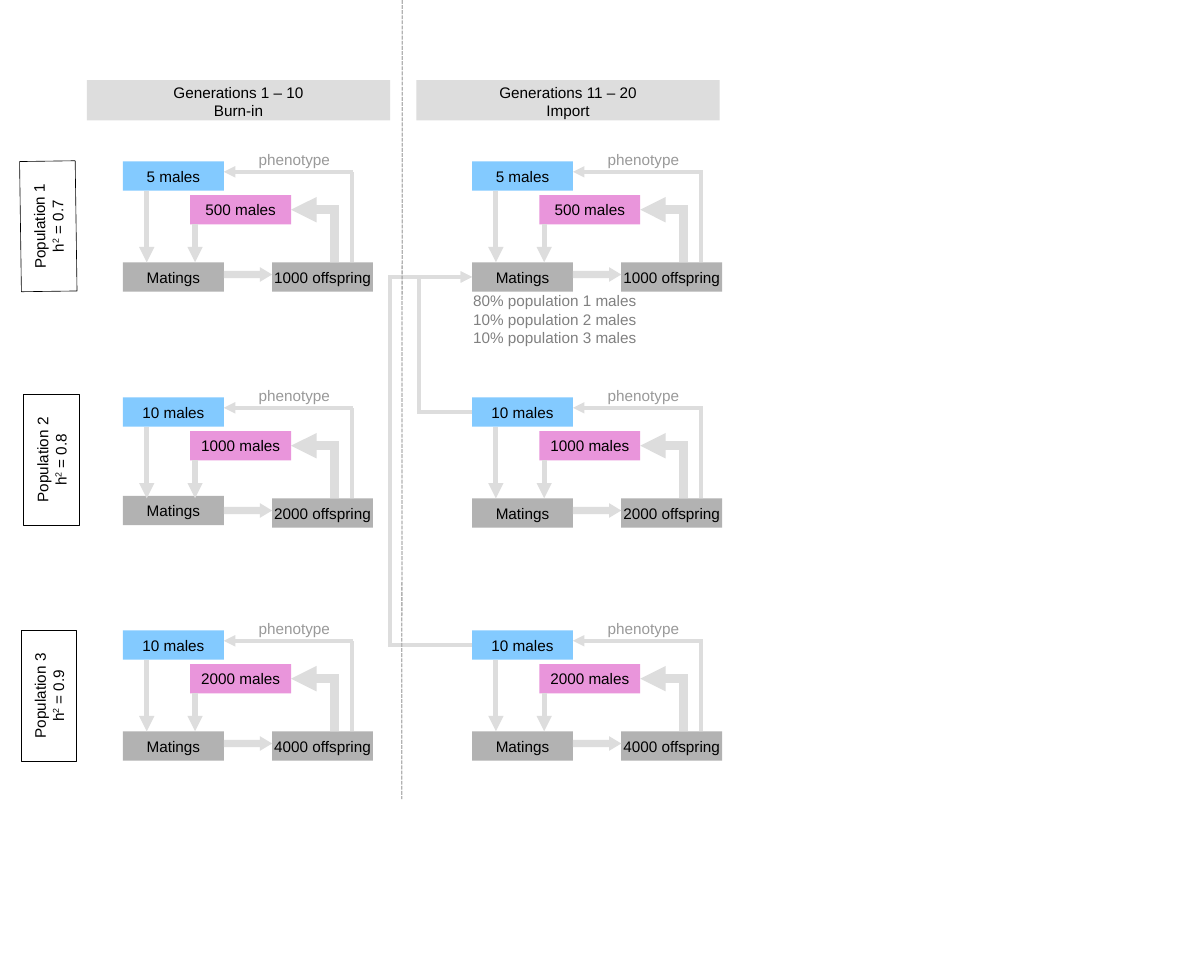
from dataclasses import dataclass

from lxml.etree import SubElement
from pptx import Presentation
from pptx.dml.color import RGBColor
from pptx.enum.dml import MSO_LINE
from pptx.enum.shapes import MSO_CONNECTOR, MSO_SHAPE
from pptx.enum.text import MSO_ANCHOR, PP_ALIGN
from pptx.oxml.ns import qn
from pptx.util import Pt

PX = 9144  # 100 px to the inch
BOX_WIDTH, BOX_HEIGHT = 165, 48
TOP, LEFT, BOTTOM, RIGHT = range(4)


@dataclass(frozen=True)
class Theme:
    font: str = "Arial"
    size: int = 18
    text: str = "000000"
    phenotype: str = "999999"
    note: str = "808080"
    label: str = "FFFFFF"
    selected: str = "83CAFF"
    dams: str = "E995DB"
    stage: str = "B2B2B2"
    flow: str = "DDDDDD"
    thin: float = 4.5
    medium: float = 6
    thick: float = 10
    divider: float = 1.5


THEME = Theme()


def emu(*lengths):
    return [round(length * PX) for length in lengths]


def color(value):
    return RGBColor.from_string(value)


def write(frame, runs, text_color=THEME.text, align=PP_ALIGN.CENTER):
    """Write (text, is_superscript) runs into one paragraph."""
    paragraph = frame.paragraphs[0]
    paragraph.alignment = align
    for text, superscript in runs:
        for index, line in enumerate(text.split("\n")):
            if index:
                paragraph.add_line_break()
            run = paragraph.add_run()
            run.text = line
            run.font.name = THEME.font
            run.font.size = Pt(THEME.size)
            run.font.color.rgb = color(text_color)
            if superscript:
                run.font._element.set("baseline", "33000")


def add_block(slide, box, fill, runs=(), kind=MSO_SHAPE.RECTANGLE):
    shape = slide.shapes.add_shape(kind, *emu(*box))
    shape.shadow.inherit = False
    shape.fill.solid()
    shape.fill.fore_color.rgb = color(fill)
    shape.line.fill.background()
    shape.text_frame.word_wrap = False
    shape.text_frame.vertical_anchor = MSO_ANCHOR.MIDDLE
    write(shape.text_frame, runs)
    return shape


def add_caption(slide, box, text, text_color):
    frame = slide.shapes.add_textbox(*emu(*box)).text_frame
    frame.word_wrap = True
    write(frame, [(text, False)], text_color, PP_ALIGN.LEFT)


def add_line(slide, start, end, weight, line_color=THEME.flow, arrow=False):
    connector = slide.shapes.add_connector(MSO_CONNECTOR.STRAIGHT, *emu(*start, *end))
    connector.line.color.rgb = color(line_color)
    connector.line.width = Pt(weight)
    if arrow:
        SubElement(connector.line._get_or_add_ln(), qn("a:tailEnd"), type="triangle")
    SubElement(connector._element.spPr, qn("a:effectLst"))
    return connector


def half_width(weight):
    """Half a line's width in px, by which a corner is filled."""
    return round(weight * 100 / 72 / 2)


def add_feedback(slide, x, bottom, y, target_x, weight):
    """Line up from the offspring, then an arrow to the left."""
    add_line(slide, (x, bottom), (x, y), weight)
    return add_line(slide, (x + half_width(weight), y), (target_x, y), weight, arrow=True)


def add_breeding_cycle(slide, left, top, names, matings_lift=0):
    """One population's cycle; returns its selected males and matings."""
    base = top + 165
    offspring_left = left + 244
    dams_top = top + 55
    size = (BOX_WIDTH, BOX_HEIGHT)
    males_name, dams_name, offspring_name = names

    # Groups
    males = add_block(slide, (left, top, *size), THEME.selected, [(males_name, False)])
    dams = add_block(slide, (left + 110, dams_top, *size), THEME.dams, [(dams_name, False)])
    matings = add_block(slide, (left, base - matings_lift, *size), THEME.stage,
                        [("Matings", False)])
    add_block(slide, (offspring_left, base, *size), THEME.stage, [(offspring_name, False)])

    # Matings to offspring
    arrow_left = left + BOX_WIDTH
    arrow = add_block(slide, (arrow_left, base + 8, offspring_left - arrow_left, 24),
                      THEME.flow, kind=MSO_SHAPE.RIGHT_ARROW)
    arrow.adjustments[0], arrow.adjustments[1] = 0.5, 0.83

    # Offspring back to parents
    add_feedback(slide, left + 374, base, top + 17, left + BOX_WIDTH, THEME.thin)
    replacement = add_feedback(slide, left + 346, base, dams_top + BOX_HEIGHT // 2,
                               left + 110 + BOX_WIDTH, THEME.thick)
    replacement.end_connect(dams, RIGHT)
    add_caption(slide, (left + 212, top - 24, BOX_WIDTH, 38), "phenotype", THEME.phenotype)

    # Parents to matings
    for x, parent_top in ((118, dams_top), (39, top)):
        add_line(slide, (left + x, parent_top + BOX_HEIGHT), (left + x, base),
                 THEME.medium, arrow=True)
    return males, matings


def add_population_label(slide, center, rotation, number, heritability):
    x, y = center
    width, height = 213, 91
    runs = [(f"Population {number}\nh", False), ("2", True), (f" = {heritability}", False)]
    label = add_block(slide, (x - width / 2, y - height / 2, width, height), THEME.label, runs)
    label.line.color.rgb = color(THEME.text)
    label.line.width = Pt(0)
    label.rotation = rotation


def add_phase_header(slide, left, text):
    header = add_block(slide, (left, 131, 496, 66), THEME.flow, [(text, False)])
    header.text_frame.word_wrap = True
    header.text_frame.vertical_anchor = MSO_ANCHOR.TOP


def add_import_route(slide, males, matings, bus_x):
    """Route from imported males around the left to the matings."""
    left = males.left / PX
    start_y, end_y = ((shape.top + shape.height / 2) / PX for shape in (males, matings))
    corner_x = bus_x - half_width(THEME.thin)
    source = add_line(slide, (left, start_y), (corner_x, start_y), THEME.thin)
    source.begin_connect(males, LEFT)
    add_line(slide, (bus_x, start_y), (bus_x, end_y), THEME.thin)
    target = add_line(slide, (corner_x, end_y), (left, end_y), THEME.thin, arrow=True)
    target.end_connect(matings, LEFT)


def main():
    presentation = Presentation()
    presentation.slide_width, presentation.slide_height = emu(1969, 1575)
    slide = presentation.slides.add_slide(presentation.slide_layouts[6])

    # Phase headers
    add_phase_header(slide, 142, "Generations 1 – 10\nBurn-in")
    add_phase_header(slide, 681, "Generations 11 – 20\nImport")

    # Populations: top, label centre, label rotation, heritability, group names
    populations = (
        (264, (79, 370), 269.2, "0.7", ("5 males", "500 males", "1000 offspring")),
        (650, (84, 752), 270, "0.8", ("10 males", "1000 males", "2000 offspring")),
        (1031, (80, 1138), 270, "0.9", ("10 males", "2000 males", "4000 offspring")),
    )
    import_cycles = []
    for number, (top, center, rotation, heritability, names) in enumerate(populations, 1):
        add_population_label(slide, center, rotation, number, heritability)
        add_breeding_cycle(slide, 201, top, names, matings_lift=4 if number == 2 else 0)
        import_cycles.append(add_breeding_cycle(slide, 772, top, names))

    # Import into population 1
    matings = import_cycles[0][1]
    for (males, _), bus_x in zip(import_cycles[1:], (685, 638)):
        add_import_route(slide, males, matings, bus_x)

    # Divider between the phases
    divider = add_line(slide, (658, 0), (657, 1307), THEME.divider, THEME.stage)
    divider.line.dash_style = MSO_LINE.SQUARE_DOT

    # Import shares
    shares = "\n".join(f"{share}% population {number} males"
                       for number, share in enumerate((80, 10, 10), 1))
    add_caption(slide, (764, 472, 323, 122), shares, THEME.note)
    presentation.save("out.pptx")


if __name__ == "__main__":
    main()
